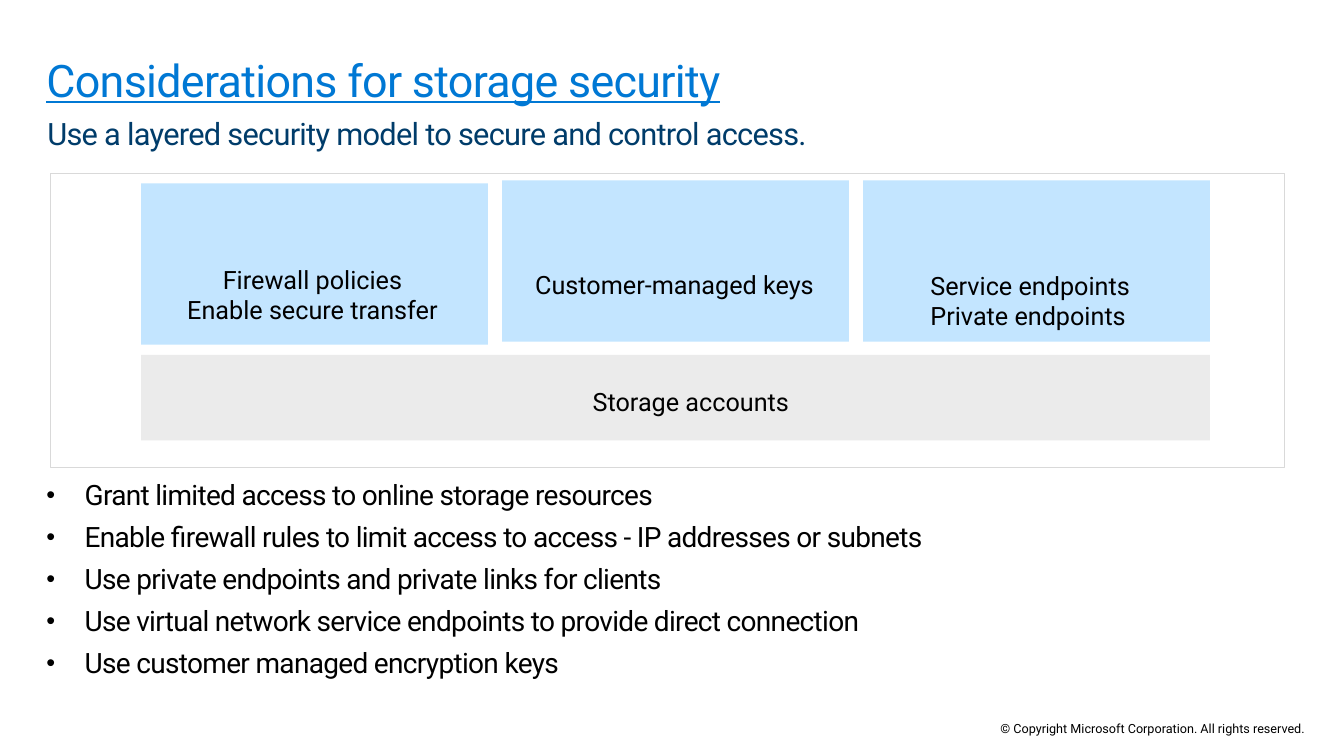
from pptx import Presentation
from pptx.dml.color import RGBColor
from pptx.enum.shapes import MSO_SHAPE
from pptx.enum.text import MSO_ANCHOR, PP_ALIGN
from pptx.oxml.xmlchemy import OxmlElement
from pptx.util import Inches, Pt

COLORS = {
    "title": "0078D4",
    "subtitle": "003C6A",
    "text": "000000",
    "layer": "C3E5FF",
    "base": "EBEBEB",
    "frame": "D9D9D9",
}

presentation = Presentation()
presentation.slide_width = Inches(13.33)
presentation.slide_height = Inches(7.5)
slide = presentation.slides.add_slide(presentation.slide_layouts[5])


def write(shape, box, lines, size, color="text", align=PP_ALIGN.LEFT,
          margins=(0.1, 0.05, 0.1, 0.05), spacing=0):
    """Place a text shape and fill it with one paragraph per line."""
    shape.left, shape.top, shape.width, shape.height = map(Inches, box)
    frame = shape.text_frame
    frame.word_wrap = True
    frame.vertical_anchor = MSO_ANCHOR.TOP
    (frame.margin_left, frame.margin_top,
     frame.margin_right, frame.margin_bottom) = map(Inches, margins)
    frame.text = "\n".join(lines)
    for paragraph in frame.paragraphs:
        paragraph.alignment = align
        paragraph.font.name = "Roboto"
        paragraph.font.size = Pt(size)
        paragraph.font.color.rgb = RGBColor.from_string(COLORS[color])
        if spacing:
            for run in paragraph.runs:
                run.font._element.set("spc", str(spacing))
    return frame


def add_box(box, fill=None):
    """Add a rectangle: filled without a line, or outlined without a fill."""
    shape = slide.shapes.add_shape(MSO_SHAPE.RECTANGLE, *map(Inches, box))
    shape.shadow.inherit = False
    if fill:
        shape.fill.solid()
        shape.fill.fore_color.rgb = RGBColor.from_string(COLORS[fill])
        shape.line.fill.background()
    else:
        shape.fill.background()
        shape.line.color.rgb = RGBColor.from_string(COLORS["frame"])
        shape.line.width = Pt(0.75)


# Title and subtitle
title = write(slide.shapes.title, (0.46, 0.48, 12.4, 0.7),
              ["Considerations for storage security"], 32, "title",
              margins=(0, 0.1, 0.16, 0.1), spacing=-50)
title.paragraphs[0].line_spacing = 0.9
title.paragraphs[0].font.underline = True

subtitle = slide.shapes.add_textbox(0, 0, 0, 0)
write(subtitle, (0.47, 1.09, 12.4, 0.47),
      ["Use a layered security model to secure and control access."], 22,
      "subtitle", margins=(0, 0.05, 0, 0.05), spacing=-50)

# Security layers above the storage accounts
for column, top in enumerate((1.82, 1.79, 1.79)):
    add_box((1.4 + column * 3.58, top, 3.44, 1.6), "layer")
add_box((1.4, 3.52, 10.6, 0.85), "base")

labels = [
    ((1.7, 2.57, 2.8, 0.71), ["Firewall policies", "Enable secure transfer"], PP_ALIGN.CENTER),
    ((5.21, 2.62, 3.21, 0.4), ["Customer-managed keys"], PP_ALIGN.LEFT),
    ((9.13, 2.63, 2.48, 0.71), ["Service endpoints", "Private endpoints"], PP_ALIGN.LEFT),
    ((5.78, 3.78, 2.29, 0.4), ["Storage accounts"], PP_ALIGN.LEFT),
]
for box, lines, align in labels:
    write(slide.shapes.add_textbox(0, 0, 0, 0), box, lines, 18, align=align)

# Frame around the layers
add_box((0.5, 1.72, 12.24, 2.92))

# Recommendations
recommendations = [
    "Grant limited access to online storage resources",
    "Enable firewall rules to limit access to access - IP addresses or subnets",
    "Use private endpoints and private links for clients",
    "Use virtual network service endpoints to provide direct connection",
    "Use customer managed encryption keys",
]
bullet_list = write(slide.shapes.add_textbox(0, 0, 0, 0), (0.46, 4.69, 11.8, 2.07),
                    recommendations, 20, margins=(0, 0.05, 0, 0), spacing=-50)
for paragraph in bullet_list.paragraphs:
    paragraph.space_after = Pt(6)
    properties = paragraph._p.get_or_add_pPr()
    properties.set("marL", str(Inches(0.38)))
    properties.set("indent", str(Inches(-0.38)))
    bullet_parts = (("a:buSzPct", "val", "90000"),
                    ("a:buFont", "typeface", "Arial"),
                    ("a:buChar", "char", "•"))
    for tag, attribute, value in bullet_parts:
        element = OxmlElement(tag)
        element.set(attribute, value)
        properties.insert_element_before(element, "a:tabLst", "a:defRPr", "a:extLst")

# Copyright line
footer = write(slide.shapes.add_textbox(0, 0, 0, 0), (9.78, 7.15, 3.3, 0.15),
               ["© Copyright Microsoft Corporation. All rights reserved."], 9,
               align=PP_ALIGN.CENTER, margins=(0, 0, 0, 0))
footer.vertical_anchor = MSO_ANCHOR.MIDDLE

presentation.save("out.pptx")
